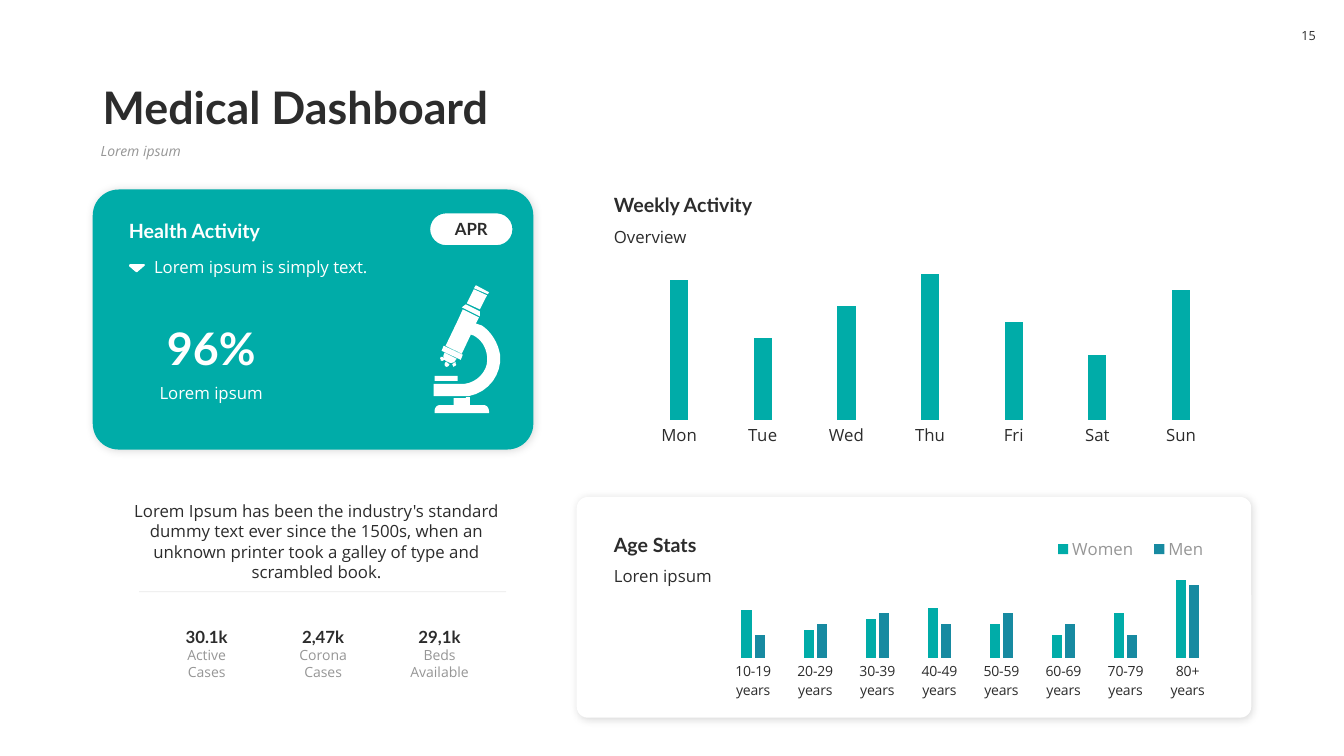
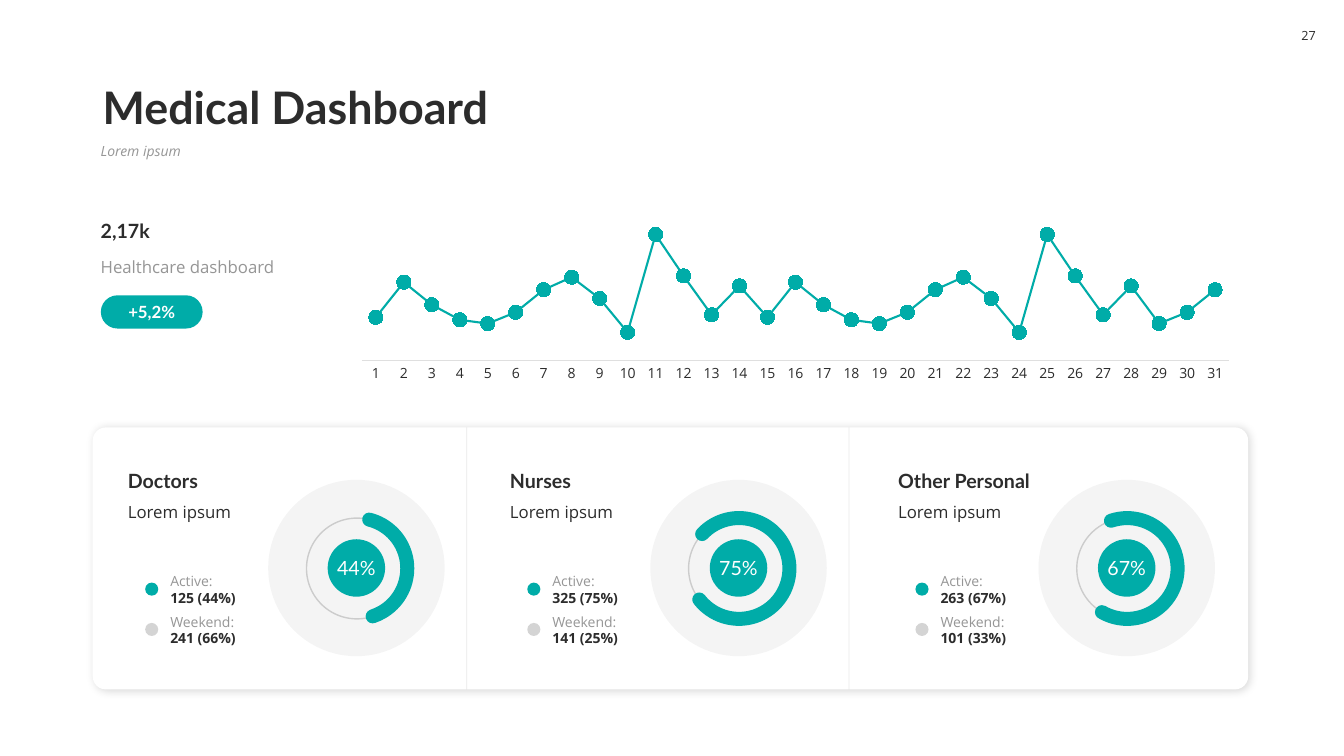
"""Builds two medical dashboard slides with charts, cards and rings."""
from lxml.etree import SubElement
from pptx import Presentation
from pptx.chart.data import CategoryChartData
from pptx.dml.color import RGBColor
from pptx.enum.chart import XL_CHART_TYPE, XL_LEGEND_POSITION, XL_MARKER_STYLE, XL_TICK_MARK
from pptx.enum.shapes import MSO_CONNECTOR, MSO_SHAPE
from pptx.enum.text import MSO_ANCHOR, PP_ALIGN
from pptx.oxml import parse_xml
from pptx.oxml.ns import nsdecls, qn
from pptx.util import Inches, Pt

COLORS = {"teal": "00ACA8", "blue": "178AA1", "ink": "2C2C2C", "gray": "969696",
          "rule": "DFDFDF", "white": "FFFFFF"}
RGB = {name: RGBColor.from_string(value) for name, value in COLORS.items()}

# style: size, font, colour, bold, italic
STYLES = {
    "title": (32, "Lato", "ink", True, False),
    "subtitle": (10, "Open Sans", "gray", False, True),
    "page": (9, "Open Sans", "ink", False, False),
    "big": (32, "Lato", "white", True, False),
    "head": (14, "Lato", "ink", True, False),
    "head_white": (14, "Lato", "white", True, False),
    "body": (12, "Open Sans", "ink", False, False),
    "body_white": (12, "Open Sans", "white", False, False),
    "body_gray": (12, "Open Sans", "gray", False, False),
    "pill": (12, "Lato", "ink", True, False),
    "pill_white": (12, "Lato", "white", True, False),
    "percent": (14, "Lato", "white", False, False),
    "label": (10, "Open Sans", "gray", False, False),
    "value": (10, "Open Sans", "ink", True, False),
}
ROUND, OVAL, ARC = MSO_SHAPE.ROUNDED_RECTANGLE, MSO_SHAPE.OVAL, MSO_SHAPE.ARC
LEFT, CENTER = PP_ALIGN.LEFT, PP_ALIGN.CENTER
TOP, MIDDLE, BOTTOM = MSO_ANCHOR.TOP, MSO_ANCHOR.MIDDLE, MSO_ANCHOR.BOTTOM
CARD_SHADOW = (15, 6, 1)


def add_box(s, at, paras=(), kind=None, fill=None, line=None, width=1, adj=(), alpha=None,
            shadow=None, align=LEFT, anchor=TOP, spacing=None, before=None, tight=False):
    at = [Inches(v) for v in at]
    if kind is None:
        sp = s.shapes.add_textbox(*at)
    else:
        sp = s.shapes.add_shape(kind, *at)
        for i, value in enumerate(adj):
            sp.adjustments[i] = value
        sp.shadow.inherit = False
        if fill:
            sp.fill.solid()
            sp.fill.fore_color.rgb = RGB[fill]
        else:
            sp.fill.background()
        if line:
            sp.line.color.rgb = RGB[line]
            sp.line.width = Pt(width)
        else:
            sp.line.fill.background()
    if alpha:
        for clr in sp.element.spPr.iter(qn("a:srgbClr")):
            SubElement(clr, qn("a:alpha"), val=str(alpha * 1000))
    if shadow:
        opacity, blur, dist = shadow
        sp.element.spPr.find(qn("a:effectLst")).append(parse_xml(
            f'<a:outerShdw {nsdecls("a")} blurRad="{Pt(blur)}" dist="{Pt(dist)}" dir="2700000" '
            f'algn="tl" rotWithShape="0"><a:srgbClr val="000000"><a:alpha val="{opacity * 1000}"/>'
            '</a:srgbClr></a:outerShdw>'))
    tf = sp.text_frame
    tf.word_wrap = not tight
    tf.vertical_anchor = anchor
    if kind is not None:
        tf.margin_left = tf.margin_right = 0
        tf.margin_top = tf.margin_bottom = 0
    for i, (text, style) in enumerate(paras):
        p = tf.add_paragraph() if i else tf.paragraphs[0]
        p.alignment = align
        if spacing:
            p.line_spacing = spacing
        if before:
            p.space_before = Pt(before)
        r = p.add_run()
        r.text = text
        size, r.font.name, color, r.font.bold, r.font.italic = STYLES[style]
        r.font.size = Pt(size)
        r.font.color.rgb = RGB[color]
    return sp


def add_plot(s, kind, at, cats, series, size, area):
    data = CategoryChartData()
    data.categories = cats
    for name, values in series:
        data.add_series(name, values)
    chart = s.shapes.add_chart(kind, *[Inches(v) for v in at], data).chart
    chart.has_title = chart.has_legend = False
    chart.font.name = "Open Sans"
    chart.font.size = Pt(12)
    chart.font.color.rgb = RGB["ink"]
    chart.value_axis.visible = False
    chart.value_axis.has_major_gridlines = False
    chart.value_axis.minimum_scale = 0
    chart.value_axis.maximum_scale = 100
    axis = chart.category_axis
    axis.major_tick_mark = axis.minor_tick_mark = XL_TICK_MARK.NONE
    axis.tick_labels.font.size = Pt(size)
    axis.format.line.fill.background()
    plot = chart.plots[0]
    plot.vary_by_categories = False
    for ser, color in zip(plot.series, ("teal", "blue")):
        ser.format.fill.solid()
        ser.format.fill.fore_color.rgb = RGB[color]
    x, y, w, h = area
    plot_area = chart.element.find(".//" + qn("c:plotArea"))
    for old in plot_area.findall(qn("c:layout")):
        plot_area.remove(old)
    plot_area.insert(0, parse_xml(
        f'<c:layout {nsdecls("c")}><c:manualLayout><c:layoutTarget val="inner"/>'
        f'<c:xMode val="edge"/><c:yMode val="edge"/><c:x val="{x}"/><c:y val="{y}"/>'
        f'<c:w val="{w}"/><c:h val="{h}"/></c:manualLayout></c:layout>'))
    return chart


prs = Presentation()
prs.slide_width, prs.slide_height = Inches(13.33), Inches(7.5)
slides = []
for number in ("15", "27"):
    s = prs.slides.add_slide(prs.slide_layouts[6])
    add_box(s, (0.92, 0.58, 11.5, 0.8), [("Medical Dashboard", "title")], anchor=BOTTOM, spacing=0.9)
    add_box(s, (0.9, 1.38, 11.52, 0.36), [("Lorem ipsum", "subtitle")], spacing=0.9, before=10)
    add_box(s, (12.8, 0.18, 0.36, 0.35), [(number, "page")], ROUND, "white", adj=[0.27],
            align=CENTER, anchor=MIDDLE, tight=True)
    slides.append(s)
activity, staff = slides

add_box(activity, (0.92, 1.88, 4.37, 2.58), kind=ROUND, fill="teal", adj=[0.1], shadow=CARD_SHADOW)
add_box(activity, (1.28, 3.12, 1.63, 0.64), [("96%", "big")], align=CENTER, anchor=BOTTOM)
add_box(activity, (1.28, 3.75, 1.63, 0.3), [("Lorem ipsum", "body_white")], align=CENTER)
add_box(activity, (4.26, 2.11, 0.83, 0.33), [("APR", "pill")], ROUND, "white", "teal", adj=[0.5],
        align=CENTER, anchor=MIDDLE)
add_box(activity, (1.18, 2.11, 2.51, 0.34), [("Health Activity", "head_white")], anchor=BOTTOM)
add_box(activity, (1.43, 2.5, 3.67, 0.3), [("Lorem ipsum is simply text.", "body_white")])

caret = [[(129, 262), (143, 262), (144, 263), (143, 264), (136, 270), (135, 270), (128, 264), (128, 263)]]
microscope = [
    [(466, 394), (466, 402), (480, 402), (483, 402, 485, 405, 485, 408), (485, 410), (431, 410),
     (431, 408), (431, 405, 433, 402, 436, 402), (450, 402), (450, 395), (462, 395), (462, 394)],
    [(454, 373), (454, 378), (431, 378), (431, 373)],
    [(452, 359), (452, 361), (453, 362, 452, 363, 451, 363), (450, 364),
     (450, 364, 449, 363, 449, 362), (448, 361), (449, 361)],
    [(442, 359), (444, 360), (445, 361), (446, 361), (445, 363), (444, 364, 443, 364, 442, 364),
     (442, 363), (441, 363, 441, 362, 441, 361)],
    [(439, 354), (440, 356), (441, 357), (439, 358), (438, 358, 437, 358, 437, 357), (437, 356),
     (436, 356, 437, 355, 437, 354)],
    [(441, 350), (453, 356), (452, 357), (451, 360, 447, 361, 444, 359),
     (441, 358, 439, 355, 440, 352)],
    [(440, 343), (459, 352), (457, 357), (438, 348)],
    [(459, 307), (475, 315), (472, 321), (478, 323), (487, 329, 494, 340, 496, 352),
     (498, 371, 485, 389, 465, 393), (462, 393), (430, 393), (430, 381), (460, 381), (465, 380),
     (477, 376, 485, 365, 483, 353), (482, 344, 477, 337, 470, 333), (467, 332), (458, 351),
     (442, 343), (454, 318)],
    [(462, 302), (476, 309), (476, 314), (458, 305)],
    [(470, 287), (483, 293), (476, 307), (463, 301)],
    [(472, 283), (485, 290), (484, 292), (470, 286)],
]
for contours in (caret, microscope):
    builder = None
    for contour in contours:
        points = []
        for node in contour:
            if len(node) == 2:
                points.append(node)
                continue
            curve = [points[-1], node[:2], node[2:4], node[4:]]
            for t in [step / 8 for step in range(1, 9)]:
                weights = ((1 - t) ** 3, 3 * t * (1 - t) ** 2, 3 * t * t * (1 - t), t ** 3)
                points.append(tuple(sum(w * pt[i] for w, pt in zip(weights, curve)) for i in (0, 1)))
        points = [(x * 10, y * 10) for x, y in points]
        if builder is None:
            builder = activity.shapes.build_freeform(*points[0], scale=Inches(1) / 1000)
        else:
            builder.move_to(*points[0])
        builder.add_line_segments(points[1:], close=True)
    icon = builder.convert_to_shape()
    icon.shadow.inherit = False
    icon.fill.solid()
    icon.fill.fore_color.rgb = RGB["white"]
    icon.line.fill.background()

add_box(activity, (5.99, 1.86, 2.86, 0.34), [("Weekly Activity", "head")], anchor=BOTTOM)
add_box(activity, (5.99, 2.2, 2.86, 0.3), [("Overview", "body")])
weekly = add_plot(activity, XL_CHART_TYPE.COLUMN_CLUSTERED, (6.2, 2.5, 6.05, 1.96),
                  ["Mon", "Tue", "Wed", "Thu", "Fri", "Sat", "Sun"],
                  [("Series 1", (96, 56, 78, 100, 67, 44, 89))], 12, (0.02, 0.11, 0.96, 0.74))

stats = [("30.1k", ["Active", "Cases"]), ("2,47k", ["Corona Cases"]), ("29,1k", ["Beds Available"])]
for i, (value, labels) in enumerate(stats):
    add_box(activity, (1.55 + 1.155 * i, 6.16, 1, 0.64),
            [(value, "pill")] + [(label, "label") for label in labels], align=CENTER, anchor=MIDDLE)
add_box(activity, (1.03, 4.92, 4.22, 0.71),
        [("Lorem Ipsum has been the industry's standard dummy text ever since the 1500s, when an "
          "unknown printer took a galley of type and scrambled book.", "body")], align=CENTER)

add_box(activity, (5.72, 4.93, 6.69, 2.19), kind=ROUND, fill="white", adj=[0.05], shadow=CARD_SHADOW)
ages = add_plot(activity, XL_CHART_TYPE.COLUMN_CLUSTERED, (7.06, 5.23, 5.13, 1.75),
                [f"{n}-{n + 9} years" for n in range(10, 80, 10)] + ["80+ years"],
                [("Women", (61, 36, 50, 64, 43, 29, 57, 100)),
                 ("Men", (29, 43, 57, 43, 57, 43, 29, 93))], 10, (0.02, 0.3, 0.96, 0.44))
for chart, gap in ((weekly, 360), (ages, 380)):
    chart.plots[0].gap_width = gap
    chart.plots[0].overlap = -30
ages.has_legend = True
legend = ages.legend
legend.position = XL_LEGEND_POSITION.TOP
legend.include_in_layout = False
legend.font.size = Pt(12)
legend.font.color.rgb = RGB["gray"]
legend_at = parse_xml(
    f'<c:layout {nsdecls("c")}><c:manualLayout><c:xMode val="edge"/><c:yMode val="edge"/>'
    '<c:x val="0.64"/><c:y val="0.05"/><c:w val="0.34"/><c:h val="0.15"/></c:manualLayout></c:layout>')
legend_xml = ages.element.find(".//" + qn("c:legend"))
for old in legend_xml.findall(qn("c:layout")):
    legend_xml.remove(old)
legend_xml.find(qn("c:legendPos")).addnext(legend_at)
add_box(activity, (5.99, 5.23, 2.2, 0.34), [("Age Stats", "head")], anchor=BOTTOM)
add_box(activity, (5.99, 5.56, 2.2, 0.3), [("Loren ipsum", "body")])

daily = add_plot(staff, XL_CHART_TYPE.LINE_MARKERS_STACKED, (3.41, 2.06, 8.96, 1.78),
                 [str(day) for day in range(1, 32)],
                 [("Series 1", (34, 62, 44, 32, 29, 38, 56, 66, 49, 22, 100, 67, 36, 59, 34, 62, 44, 32,
                                29, 38, 56, 66, 49, 22, 100, 67, 36, 59, 29, 38, 56))],
                 10, (0.02, 0.15, 0.96, 0.7))
daily.category_axis.format.line.color.rgb = RGB["rule"]
daily.category_axis.format.line.width = Pt(0.75)
ser = daily.plots[0].series[0]
ser.smooth = False
ser.format.line.color.rgb = RGB["teal"]
ser.format.line.width = Pt(1.5)
ser.marker.style = XL_MARKER_STYLE.CIRCLE
ser.marker.size = 10
ser.marker.format.fill.solid()
ser.marker.format.fill.fore_color.rgb = RGB["teal"]
ser.marker.format.line.color.rgb = RGB["teal"]

add_box(staff, (0.9, 2.11, 2.13, 0.34), [("2,17k", "head")], anchor=BOTTOM)
add_box(staff, (0.9, 2.5, 2.13, 0.3), [("Healthcare dashboard", "body_gray")])
add_box(staff, (1, 2.93, 1.01, 0.33), [("+5,2%", "pill_white")], ROUND, "teal", adj=[0.5],
        align=CENTER, anchor=MIDDLE)
add_box(staff, (0.92, 4.24, 11.46, 2.6), kind=ROUND, fill="white", adj=[0.05], shadow=CARD_SHADOW)

groups = [
    (1.17, "Doctors", "44%", "125 (44%)", "241 (66%)", (170.5, 43.06)),
    (4.96, "Nurses", "75%", "325 (75%)", "141 (25%)", (133.84, 85.2)),
    (8.81, "Other Personal", "67%", "263 (67%)", "101 (33%)", (150.77, 72.01)),
]
for x, name, share, active, weekend, sweep in groups:
    ring = (x + 1.87, 5.14, 1, 1)
    add_box(staff, (x + 1.49, 4.76, 1.75, 1.75), kind=OVAL, fill="ink", alpha=5)
    add_box(staff, ring, kind=OVAL, line="ink", alpha=20)
    add_box(staff, (x, 4.59, 2.86, 0.34), [(name, "head")], anchor=BOTTOM)
    add_box(staff, (x, 4.93, 2.86, 0.3), [("Lorem ipsum", "body")])
    add_box(staff, (x + 2.08, 5.35, 0.57, 0.57), [(share, "percent")], OVAL, "teal",
            align=CENTER, anchor=MIDDLE, tight=True)
    arc = add_box(staff, ring, kind=ARC, line="teal", width=10, adj=sweep)
    arc.element.spPr.find(qn("a:ln")).set("cap", "rnd")
    rows = [("Active:", active, "teal", None), ("Weekend:", weekend, "ink", 20)]
    for i, (label, value, color, alpha) in enumerate(rows):
        y = 5.63 + 0.4 * i
        add_box(staff, (x + 0.27, y + 0.15, 0.13, 0.13), kind=OVAL, fill=color, alpha=alpha)
        add_box(staff, (x + 0.42, y, 1.18, 0.44), [(label, "label"), (value, "value")], anchor=MIDDLE)

dividers = [(activity, 1.38, 5.87, 5.02, 5.87), (staff, 4.63, 6.84, 4.63, 4.24),
            (staff, 8.42, 6.84, 8.42, 4.24)]
for s, *ends in dividers:
    divider = s.shapes.add_connector(MSO_CONNECTOR.STRAIGHT, *[Inches(v) for v in ends])
    divider.line.color.rgb = RGB["ink"]
    divider.line.width = Pt(0.5)
    SubElement(divider.element.spPr.find(".//" + qn("a:srgbClr")), qn("a:alpha"), val="10000")
    SubElement(divider.element.spPr, qn("a:effectLst"))

prs.save("out.pptx")
